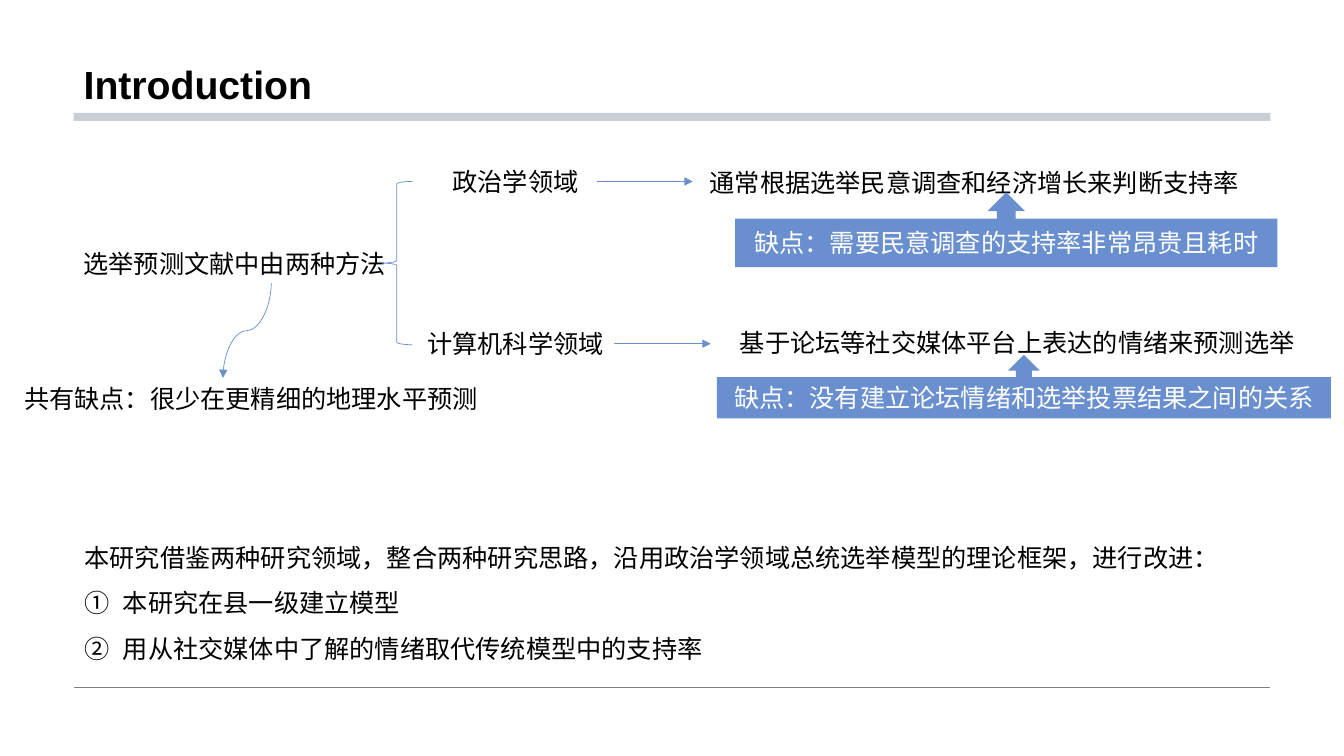
import pptx
import pptx.util
import pptx.dml.color
import pptx.enum.shapes
import pptx.enum.text
import pptx.oxml
import pptx.oxml.ns

Inches, Pt = pptx.util.Inches, pptx.util.Pt
RGBColor = pptx.dml.color.RGBColor
SHAPE = pptx.enum.shapes.MSO_SHAPE
LINK = pptx.enum.shapes.MSO_CONNECTOR
ANCHOR = pptx.enum.text.MSO_ANCHOR
ALIGN = pptx.enum.text.PP_ALIGN
FIT = pptx.enum.text.MSO_AUTO_SIZE
qn = pptx.oxml.ns.qn

BLACK = RGBColor(0x00, 0x00, 0x00)
WHITE = RGBColor(0xFF, 0xFF, 0xFF)
BLUE = RGBColor(0x69, 0x8F, 0xCE)
PALE = RGBColor(0xC9, 0xCE, 0xD5)
GRAY = RGBColor(0x80, 0x80, 0x80)

TITLE = "Introduction"
LEFT, WIDE = 0.73, 11.87
LABELS = {  # name: (text, left, top, width)
    "methods": ("选举预测文献中由两种方法", 0.73, 2.41, 3.51),
    "politics": ("政治学领域", 4.39, 1.6, 1.53),
    "polls": ("通常根据选举民意调查和经济增长来判断支持率", 6.94, 1.61, 5.82),
    "computing": ("计算机科学领域", 4.14, 3.21, 2.74),
    "moods": ("基于论坛等社交媒体平台上表达的情绪来预测选举", 7.24, 3.2, 5.82),
    "shared": ("共有缺点：很少在更精细的地理水平预测", 0.14, 3.75, 5),
}
FLAWS = [
    ("缺点：需要民意调查的支持率非常昂贵且耗时", 7.29, 1.91, 5.38, 0.74),
    ("缺点：没有建立论坛情绪和选举投票结果之间的关系", 7.11, 3.52, 6.09, 0.63),
]
PLAN = [
    "本研究借鉴两种研究领域，整合两种研究思路，沿用政治学领域总统选举模型的理论框架，进行改进：",
    "本研究在县一级建立模型",
    "用从社交媒体中了解的情绪取代传统模型中的支持率",
]
BODY = {"name": "Arial", "size": Pt(18), "bold": False}
HEAD = {"name": "Arial", "size": Pt(28), "bold": True}


def style(para, look, color):
    for key, value in look.items():
        setattr(para.font, key, value)
    para.font.color.rgb = color


def add(parent, tag, **attrs):
    node = pptx.oxml.parse_xml(
        f'<a:{tag} xmlns:a="http://schemas.openxmlformats.org/drawingml/2006/main"/>')
    for key, value in attrs.items():
        node.set(key, value)
    parent.append(node)


def shape(kind, *box, fill=None, line=None):
    item = slide.shapes.add_shape(kind, *map(Inches, box))
    item.shadow.inherit = False
    if fill is None:
        item.fill.background()
    else:
        item.fill.solid()
        item.fill.fore_color.rgb = fill
    if line is None:
        item.line.fill.background()
    else:
        item.line.color.rgb = line
        item.line.width = Pt(0.5)
    return item


def link(x1, y1, x2, y2, kind=LINK.STRAIGHT, color=BLUE, arrow=True):
    item = slide.shapes.add_connector(kind, *map(Inches, (x1, y1, x2, y2)))
    item.line.color.rgb = color
    item.line.width = Pt(0.5)
    if arrow:
        add(item._element.spPr.find(qn("a:ln")), "tailEnd", type="triangle")
    add(item._element.spPr, "effectLst")
    return item


def write(lines, left, top, width, height=0.4):
    box = slide.shapes.add_textbox(*map(Inches, (left, top, width, height)))
    frame = box.text_frame
    frame.word_wrap = True
    frame.auto_size = FIT.SHAPE_TO_FIT_TEXT
    frame.text = "\n".join(lines)
    return box


deck = pptx.Presentation()
deck.slide_width, deck.slide_height = Inches(13.33), Inches(7.5)
slide = deck.slides.add_slide(deck.slide_layouts[5])

# Title and rules
link(LEFT, 6.82, LEFT + WIDE, 6.82, color=GRAY, arrow=False)
shape(SHAPE.RECTANGLE, LEFT, 1.12, WIDE, 0.08, fill=PALE)
title = slide.shapes.title
title.left, title.top, title.width, title.height = map(Inches, (LEFT, 0, WIDE, 1.12))
title.text_frame.text = TITLE
title.text_frame.auto_size = FIT.NONE
title.text_frame.vertical_anchor = ANCHOR.BOTTOM
head = title.text_frame.paragraphs[0]
head.alignment = ALIGN.LEFT
head.line_spacing = 0.9
style(head, HEAD, BLACK)

# Two research fields
boxes = {}
for name, (text, *place) in LABELS.items():
    boxes[name] = write([text], *place)
    style(boxes[name].text_frame.paragraphs[0], BODY, BLACK)
shape(SHAPE.LEFT_BRACE, 3.78, 1.8, 0.31, 1.62, line=BLUE)
link(5.92, 1.8, 6.87, 1.8).begin_connect(boxes["politics"], 3)
link(6.09, 3.41, 7.05, 3.41)
curve = link(1.98, 3.04, 2.92, 3.52, LINK.CURVE)
curve._element.spPr.find(qn("a:xfrm")).set("rot", str(90 * 60000))

for text, *place in FLAWS:
    flaw = shape(SHAPE.UP_ARROW_CALLOUT, *place, fill=BLUE)
    flaw.text_frame.text = text
    flaw.text_frame.word_wrap = True
    flaw.text_frame.vertical_anchor = ANCHOR.MIDDLE
    para = flaw.text_frame.paragraphs[0]
    para.alignment = ALIGN.CENTER
    style(para, BODY, WHITE)

# Improvements
plan = write(PLAN, 0.74, 5.18, 11.66, 1.41)
for i, para in enumerate(plan.text_frame.paragraphs):
    para.line_spacing = 1.5
    if i:
        props = para._p.get_or_add_pPr()
        props.set("marL", str(Inches(0.38)))
        props.set("indent", str(-Inches(0.38)))
        add(props, "buFont", typeface="Arial")
        add(props, "buAutoNum", type="circleNumDbPlain")
    style(para, BODY, BLACK)

deck.save("out.pptx")
